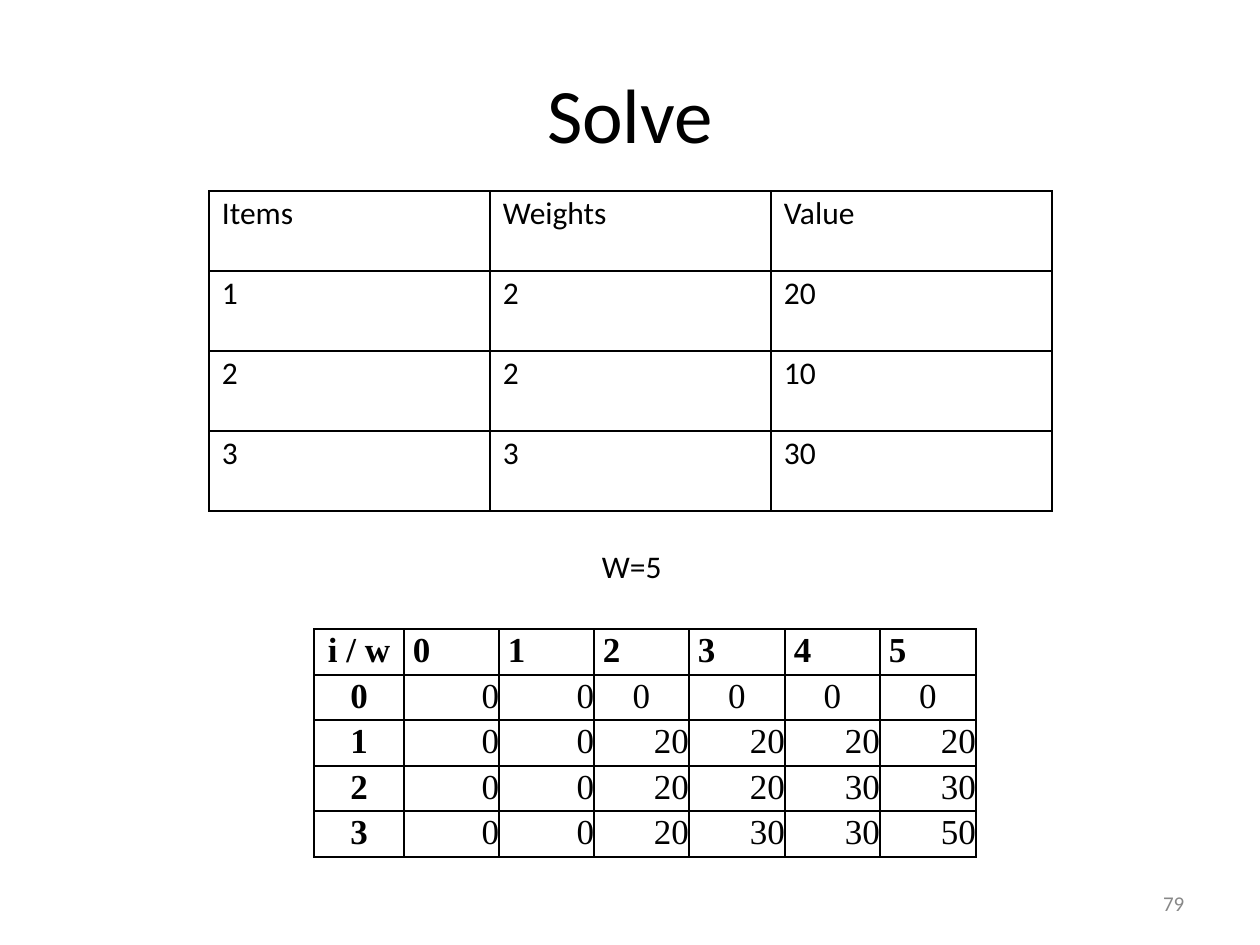
from pptx import Presentation, util as u
from pptx.dml.color import RGBColor
from pptx.enum import text
from pptx.oxml import parse_xml
from pptx.oxml.ns import nsdecls

PX = 914400 / 126
LEFT, CENTER, RIGHT = text.PP_ALIGN.LEFT, text.PP_ALIGN.CENTER, text.PP_ALIGN.RIGHT
BODY = {"name": "Calibri", "size": u.Pt(18), "bold": False}
GRID = {"name": "Times New Roman", "size": u.Pt(20), "bold": False}


def px(value):
    return u.Emu(round(value * PX))


def write(frame, words, font, color="000000", align=LEFT, line=None):
    paragraph = frame.paragraphs[0]
    paragraph.alignment = align
    paragraph.line_spacing = line
    run = paragraph.add_run()
    run.text = words
    for name, value in font.items():
        setattr(run.font, name, value)
    run.font.color.rgb = RGBColor.from_string(color)


presentation = Presentation()
presentation.slide_width, presentation.slide_height = px(1260), px(945)
slide = presentation.slides.add_slide(presentation.slide_layouts[5])

title = slide.shapes.title
number = slide.shapes.add_textbox(0, 0, 0, 0)
capacity = slide.shapes.add_textbox(0, 0, 0, 0)
labels = [
    (title, "Solve", (546, 64, 170, 96), (1, 3), {**BODY, "size": u.Pt(44)}, "000000"),
    (number, "79", (1158, 891, 31, 24), (5, 0), {**BODY, "size": u.Pt(12)}, "888888"),
    (capacity, "W=5", (601, 544, 63, 42), (1, 3), BODY, "000000"),
]
for shape, words, box, inset, font, color in labels:
    shape.left, shape.top, shape.width, shape.height = map(px, box)
    frame = shape.text_frame
    layout = {
        "margin_left": px(inset[0]), "margin_top": px(inset[1]),
        "margin_right": 0, "margin_bottom": 0,
        "word_wrap": False, "auto_size": text.MSO_AUTO_SIZE.NONE,
        "vertical_anchor": text.MSO_ANCHOR.TOP,
    }
    for name, value in layout.items():
        setattr(frame, name, value)
    write(frame, words, font, color)

items = [
    ["Items", "Weights", "Value"],
    ["1", "2", "20"],
    ["2", "2", "10"],
    ["3", "3", "30"],
]
solution = [
    ["i / w", "0", "1", "2", "3", "4", "5"],
    ["0", "0", "0", "0", "0", "0", "0"],
    ["1", "0", "0", "20", "20", "20", "20"],
    ["2", "0", "0", "20", "20", "30", "30"],
    ["3", "0", "0", "20", "30", "30", "50"],
]
tables = [
    (items, 209, 191, [281] * 3, [80] * 4),
    (solution, 314, 629, [90, 95, 95, 95, 96, 95, 96], [46, 45, 46, 45, 46]),
]
for rows, left, top, widths, heights in tables:
    table = slide.shapes.add_table(
        len(rows), len(widths), px(left), px(top), px(sum(widths)), px(sum(heights))
    ).table
    table.first_row = table.horz_banding = False
    for column, width in zip(table.columns, widths):
        column.width = px(width)
    for row, height in zip(table.rows, heights):
        row.height = px(height)
    for i, row in enumerate(rows):
        for j, words in enumerate(row):
            cell = table.cell(i, j)
            font, align, line, inset = BODY, LEFT, None, (13, 4)
            if rows is solution:
                font = {**GRID, "bold": i == 0 or j == 0}
                line, inset = u.Pt(23.4), (0, 0)
                if j == 0 or (i == 1 and j > 2):
                    align = CENTER
                elif i > 0:
                    align = RIGHT
                else:
                    inset = (9, 0)
            cell.margin_left, cell.margin_top = map(px, inset)
            cell.margin_right = cell.margin_bottom = 0
            write(cell.text_frame, words, font, align=align, line=line)
            properties = cell._tc.get_or_add_tcPr()
            for side in ("lnL", "lnR", "lnT", "lnB"):
                properties.append(parse_xml(
                    f'<a:{side} {nsdecls("a")} w="12700"><a:solidFill>'
                    f'<a:srgbClr val="000000"/></a:solidFill></a:{side}>'
                ))
            cell.fill.background()

presentation.save("out.pptx")
